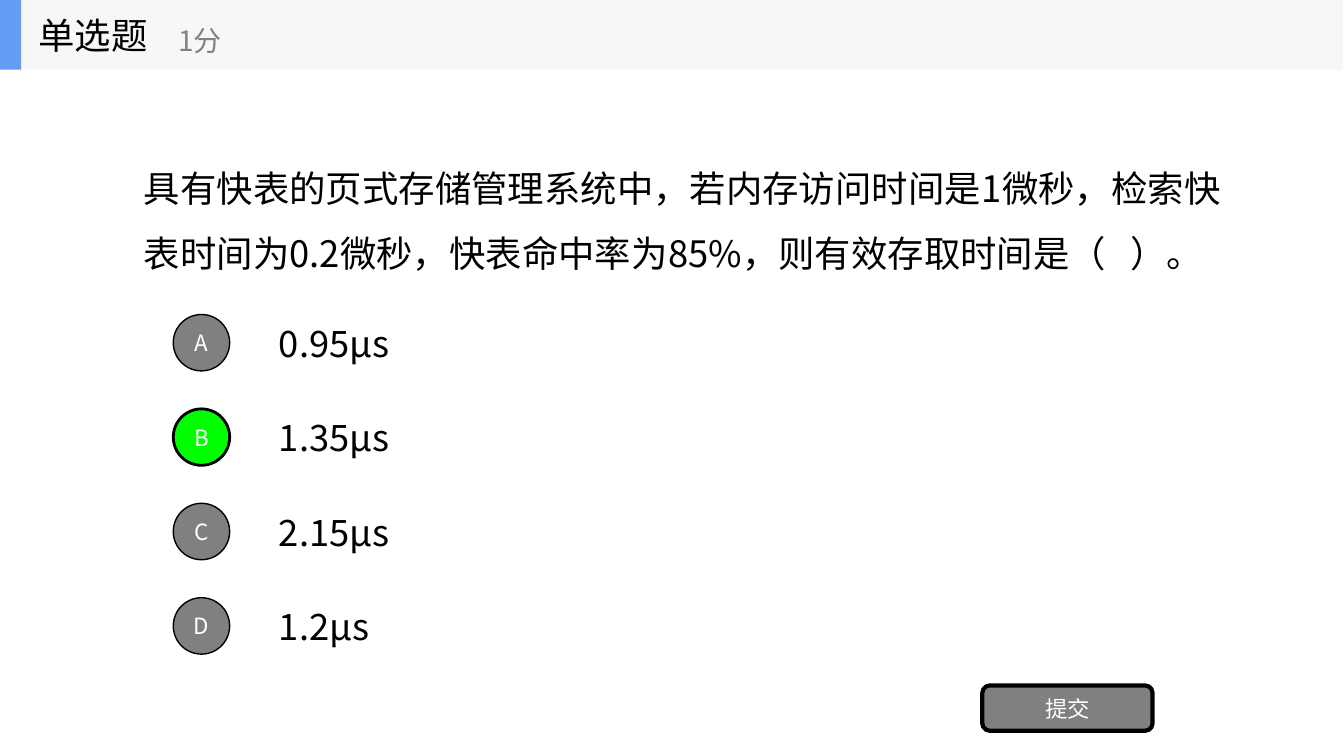
import dataclasses

import lxml.etree
import pptx
import pptx.dml.color
import pptx.enum.shapes
import pptx.enum.text
import pptx.oxml.ns
import pptx.util

Inches = pptx.util.Inches
SHAPE = pptx.enum.shapes.MSO_SHAPE
ALIGN = pptx.enum.text.PP_ALIGN


@dataclasses.dataclass(frozen=True)
class Theme:
    font: str = "Noto Sans CJK SC"
    ink: str = "000000"
    muted: str = "808080"
    white: str = "FFFFFF"
    correct: str = "00FF00"
    band: str = "F6F7F8"
    accent: str = "639EF4"
    text_size: int = 26
    score_size: int = 20
    label_size: int = 16


THEME = Theme()
OPTIONS = [("A", "0.95μs"), ("B", "1.35μs"), ("C", "2.15μs"), ("D", "1.2μs")]
CORRECT = "B"


def rgb(value):
    return pptx.dml.color.RGBColor.from_string(value)


def write_text(shape, text, size=THEME.text_size, color=THEME.ink,
               align=ALIGN.LEFT, spacing=1.0):
    frame = shape.text_frame
    frame.word_wrap = True
    frame.auto_size = pptx.enum.text.MSO_AUTO_SIZE.NONE
    frame.vertical_anchor = pptx.enum.text.MSO_ANCHOR.MIDDLE
    para = frame.paragraphs[0]
    para.alignment = align
    para.line_spacing = spacing
    span = para.add_run()
    span.text = text
    span.font.size = pptx.util.Pt(size)
    span.font.color.rgb = rgb(color)
    span.font.name = THEME.font
    # Chinese glyphs take their font from the East Asian slot
    east_asian = lxml.etree.SubElement(span.font._element, pptx.oxml.ns.qn("a:ea"))
    east_asian.set("typeface", THEME.font)


def add_text(page, box, text, **text_format):
    shape = page.shapes.add_textbox(*map(Inches, box))
    write_text(shape, text, **text_format)


def add_block(page, kind, box, fill, line_width=0):
    shape = page.shapes.add_shape(kind, *map(Inches, box))
    shape.shadow.inherit = False
    shape.fill.solid()
    shape.fill.fore_color.rgb = rgb(fill)
    if line_width:
        shape.line.color.rgb = rgb(THEME.ink)
        shape.line.width = pptx.util.Pt(line_width)
    else:
        shape.line.fill.background()
    return shape


def add_button(page, kind, box, text, fill, line_width):
    button = add_block(page, kind, box, fill, line_width)
    write_text(button, text, size=THEME.label_size, color=THEME.white,
               align=ALIGN.CENTER)


def add_header(page, box, heading, score):
    left, top, width, height = box
    add_block(page, SHAPE.RECTANGLE, box, THEME.band)
    add_block(page, SHAPE.RECTANGLE, (left, top, 0.21, height), THEME.accent)
    title = page.shapes.title
    title.left, title.top = Inches(left + 0.28), Inches(top)
    title.width, title.height = Inches(2.08), Inches(height)
    write_text(title, heading)
    # Bring the title in front of the band
    page.shapes._spTree.append(title._element)
    add_text(page, (left + 1.67, top + 0.12, 2.5, 0.56), score,
             size=THEME.score_size, color=THEME.muted)


def add_options(page, box, options, correct):
    left, top, width, height = box
    row_height, circle, text_offset = 0.7, 0.56, 0.95
    step = (height - row_height) / (len(options) - 1)
    for index, (letter, answer) in enumerate(options):
        row_top = top + index * step
        add_text(page, (left + text_offset, row_top, width - text_offset, row_height),
                 answer)
        chosen = letter == correct
        add_button(page, SHAPE.OVAL,
                   (left, row_top + (row_height - circle) / 2, circle, circle),
                   letter, THEME.correct if chosen else THEME.muted,
                   2 if chosen else 1)


def build_question_page(deck):
    page = deck.slides.add_slide(deck.slide_layouts[5])
    # Question
    add_text(page, (1.33, 0.91, 11, 2.34),
             "具有快表的页式存储管理系统中，若内存访问时间是1微秒，检索快表时间为0.2微秒，"
             "快表命中率为85%，则有效存取时间是（   ）。", spacing=1.5)
    # Answers and submit button
    add_options(page, (1.72, 3.05, 10.28, 3.51), OPTIONS, CORRECT)
    add_button(page, SHAPE.ROUNDED_RECTANGLE, (9.75, 6.8, 1.69, 0.45),
               "提交", THEME.muted, 3)
    # Header band
    add_header(page, (0, 0, 13.33, 0.69), "单选题", "1分")


def main():
    deck = pptx.Presentation()
    deck.slide_width, deck.slide_height = Inches(13.34), Inches(7.5)
    build_question_page(deck)
    deck.save("out.pptx")


if __name__ == "__main__":
    main()
